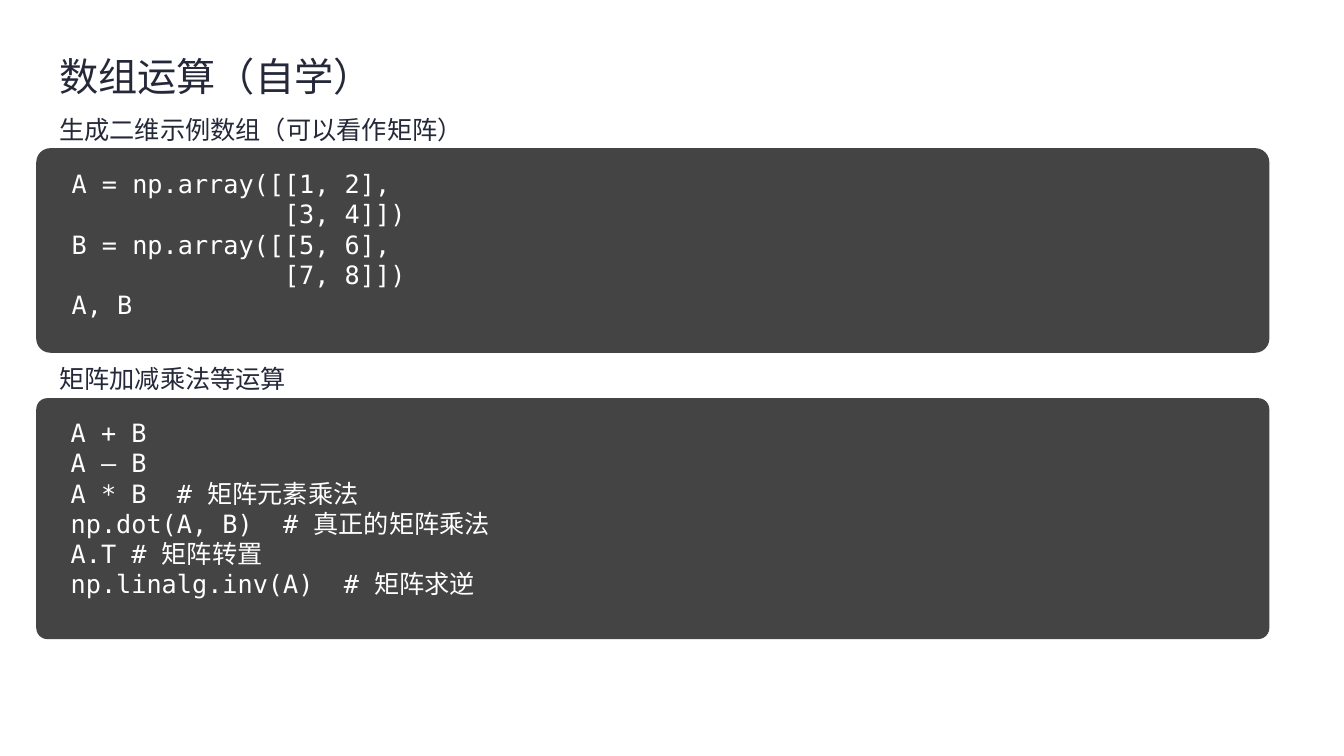
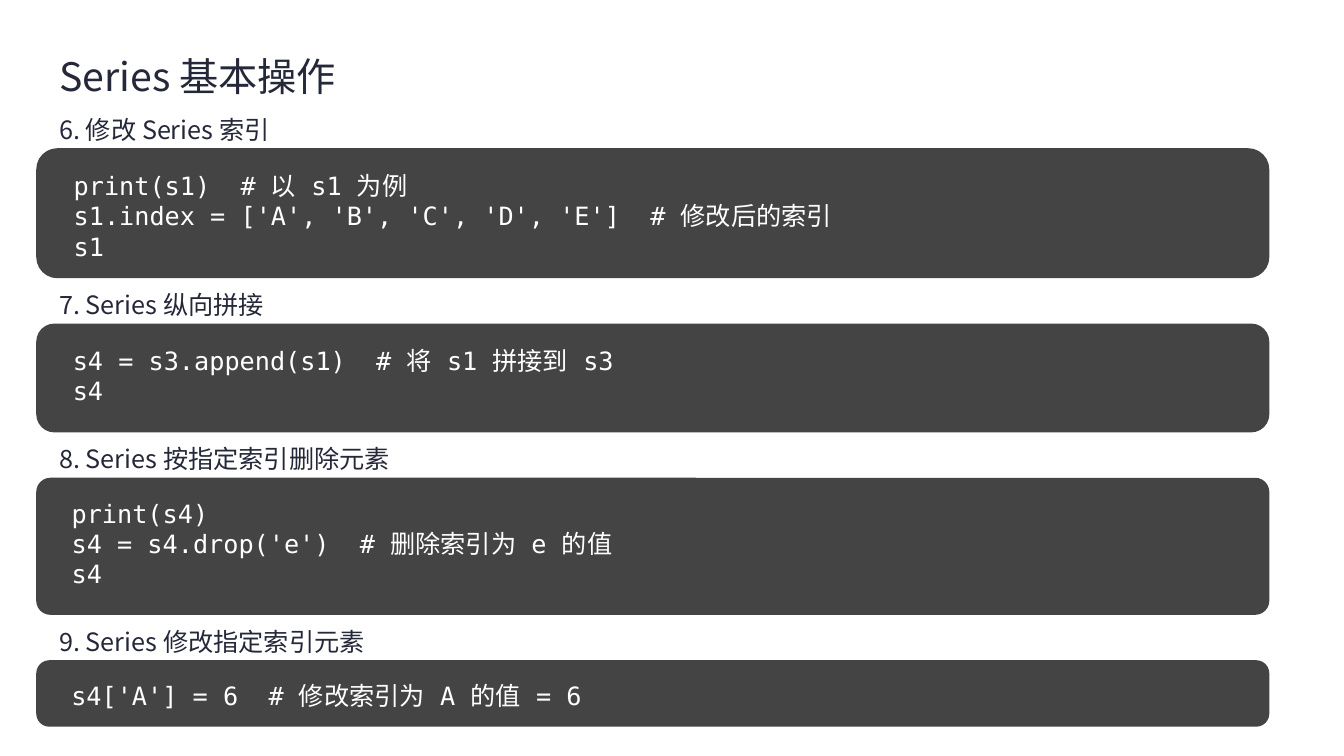
from lxml import etree
from pptx import Presentation
from pptx import util as u
from pptx.dml.color import RGBColor
from pptx.enum import shapes, text
from pptx.oxml.ns import qn

PX = 9144  # EMU per px, 100 px to the inch
INK, PANEL, WHITE = "252839", "444444", "FFFFFF"
SANS, MONO = "Noto Sans CJK SC", "DejaVu Sans Mono"
TITLE_SIZE, BODY_SIZE = 28, 18

TEXT_LEFT, TEXT_WIDTH = 49, 1198
CODE_LEFT, CODE_WIDTH = 36, 1223
HEADING_TOP, HEADING_HEIGHT, LABEL_HEIGHT = 38, 109, 45
CODE_INSETS = (31, 16, 24, 16)

# Each slide: title, then (label, code height, corner radius, code)
SLIDES = [
    ("数组运算（自学）", [
        ("生成二维示例数组（可以看作矩阵）", 203, 14, """\
A = np.array([[1, 2],
              [3, 4]])
B = np.array([[5, 6],
              [7, 8]])
A, B"""),
        ("矩阵加减乘法等运算", 239, 11, """\
A + B
A – B
A * B  # 矩阵元素乘法
np.dot(A, B)  # 真正的矩阵乘法
A.T # 矩阵转置
np.linalg.inv(A)  # 矩阵求逆"""),
    ]),
    ("Series 基本操作", [
        ("6. 修改 Series 索引", 129, 21, """\
print(s1)  # 以 s1 为例
s1.index = ['A', 'B', 'C', 'D', 'E']  # 修改后的索引
s1"""),
        ("7. Series 纵向拼接", 108, 18, """\
s4 = s3.append(s1)  # 将 s1 拼接到 s3
s4"""),
        ("8. Series 按指定索引删除元素", 136, 14, """\
print(s4)
s4 = s4.drop('e')  # 删除索引为 e 的值
s4"""),
        ("9. Series 修改指定索引元素", 66, 13, "s4['A'] = 6  # 修改索引为 A 的值 = 6"),
    ]),
]


def px(*lengths):
    return [u.Emu(n * PX) for n in lengths]


def rgb(value):
    return RGBColor.from_string(value)


def write(p, words, *, size=BODY_SIZE, font=SANS, color=INK, spacing=None, after=0):
    p.alignment = text.PP_ALIGN.LEFT
    p.space_after = u.Pt(after)
    if spacing:
        p.line_spacing = spacing
    r = p.add_run()
    r.text = words
    r.font.size = u.Pt(size)
    r.font.color.rgb = rgb(color)
    r.font.name = font
    # East Asian glyphs use the same face
    etree.SubElement(r.font._element, qn("a:ea"), typeface=font)


def write_lines(tf, lines, **style):
    """Write (words, size) pairs, one paragraph each."""
    tf.word_wrap = True
    for i, (words, size) in enumerate(lines):
        p = tf.add_paragraph() if i else tf.paragraphs[0]
        write(p, words, size=size, **style)


def add_heading(slide, top, height, lines):
    sp = slide.shapes.add_textbox(*px(TEXT_LEFT, top, TEXT_WIDTH, height))
    write_lines(sp.text_frame, lines, spacing=1.2, after=6)


def add_code(slide, top, height, radius, code):
    sp = slide.shapes.add_shape(shapes.MSO_SHAPE.ROUNDED_RECTANGLE,
                                *px(CODE_LEFT, top, CODE_WIDTH, height))
    sp.adjustments[0] = radius / height
    sp.shadow.inherit = False
    sp.fill.solid()
    sp.fill.fore_color.rgb = rgb(PANEL)
    sp.line.fill.background()
    tf = sp.text_frame
    tf.vertical_anchor = text.MSO_ANCHOR.TOP
    tf.margin_left, tf.margin_top, tf.margin_right, tf.margin_bottom = px(*CODE_INSETS)
    lines = [(line, BODY_SIZE) for line in code.split("\n")]
    write_lines(tf, lines, font=MONO, color=WHITE)


def add_code_slide(prs, title, sections):
    slide = prs.slides.add_slide(prs.slide_layouts[6])
    top = HEADING_TOP
    for i, (label, code_height, radius, code) in enumerate(sections):
        # The first label shares its box with the title
        lines = [(label, BODY_SIZE)]
        height = LABEL_HEIGHT
        if i == 0:
            lines.insert(0, (title, TITLE_SIZE))
            height = HEADING_HEIGHT
        add_heading(slide, top, height, lines)
        top += height
        add_code(slide, top, code_height, radius, code)
        top += code_height


def main():
    prs = Presentation()
    prs.slide_width, prs.slide_height = px(1333, 750)
    for title, sections in SLIDES:
        add_code_slide(prs, title, sections)
    prs.save("out.pptx")


if __name__ == "__main__":
    main()
